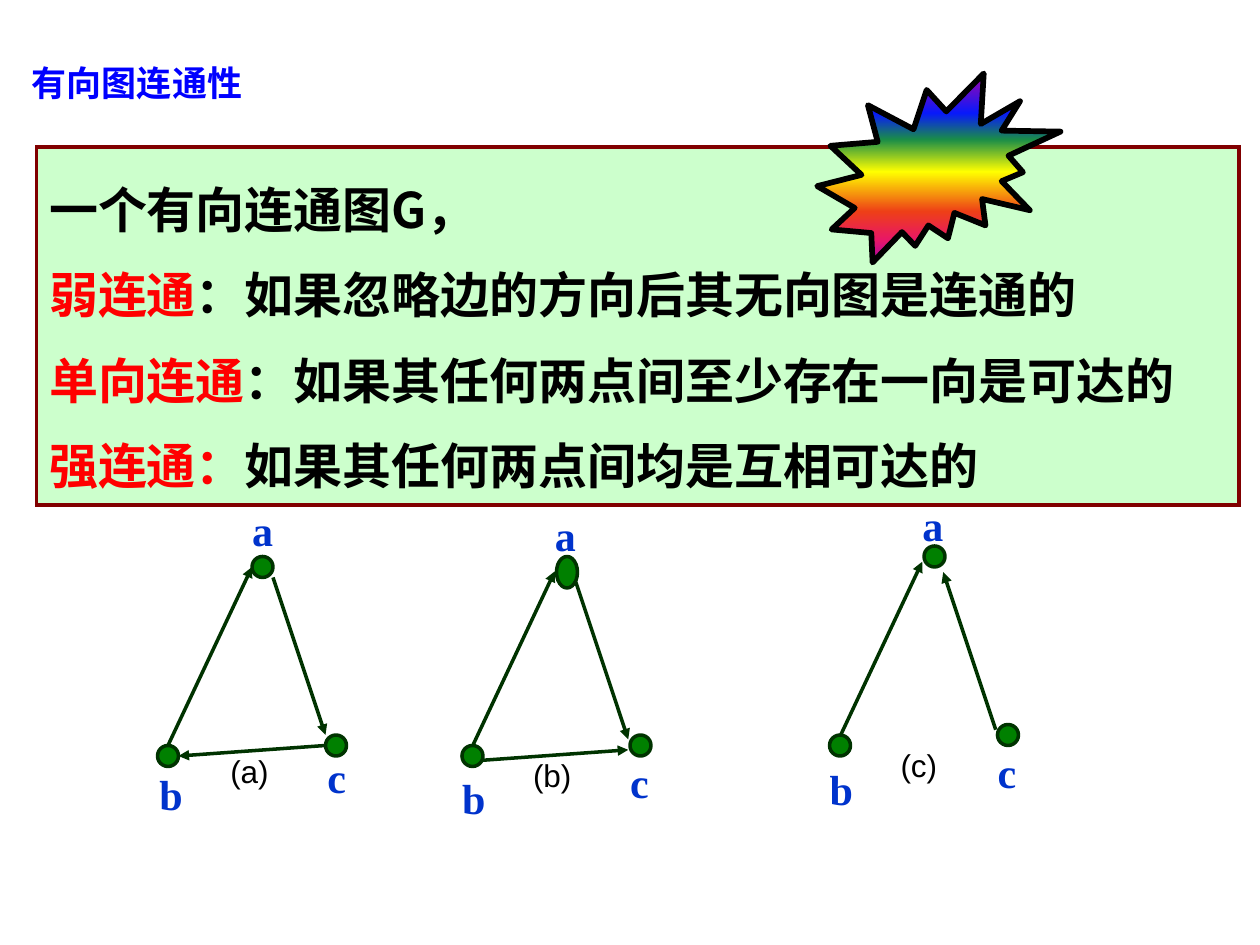
from lxml import etree
from pptx import Presentation
from pptx.dml.color import RGBColor
from pptx.enum import shapes, text
from pptx.oxml.ns import qn
from pptx.util import Pt

COLORS = {
    "title": "0000FF", "ink": "000000", "term": "FF0000",
    "panel": "CCFFCC", "panel_line": "800000",
    "node": "008000", "edge": "003300", "label": "0033CC",
}
RAINBOW = [(0, "A603AB"), (21, "0819FB"), (35, "1A8D48"), (52, "FFFF00"),
           (73, "EE3F17"), (88, "E81766"), (100, "A603AB")]
CJK = "Noto Sans CJK SC"
TITLE_FONT = {"name": CJK, "size": Pt(20), "bold": True}
BODY_FONT = {"name": CJK, "size": Pt(28), "bold": True}
LABEL_FONT = {"name": "Times New Roman", "size": Pt(24), "bold": True}
CAPTION_FONT = {"name": "Arial", "size": Pt(18), "bold": False}

DEFINITIONS = [
    [("一个有向连通图G，", "ink")],
    [("弱连通", "term"), ("：如果忽略边的方向后其无向图是连通的", "ink")],
    [("单向连通", "term"), ("：如果其任何两点间至少存在一向是可达的", "ink")],
    [("强连通：", "term"), ("如果其任何两点间均是互相可达的", "ink")],
]

# Every graph shares one layout, in points from its top left corner.
NODES = {"a": (60, 36), "b": (6, 144), "c": (102, 138)}
LABELS = {"a": (53, 3, 26), "b": (0, 153.5, 27.5), "c": (96, 144, 25.5)}
CAPTION_BOX = (40.5, 144, 38, 29)
EDGES = {"ab": ((60, 42), (12, 144)), "bc": ((18, 150), (102, 144)),
         "ac": ((72, 48), (102, 138))}
NODE_SIZE = 12
GRAPHS = [
    {"box": (84, 282), "caption": "(a)", "arrows": ["ba", "cb", "ac"]},
    {"box": (257, 284.5), "caption": "(b)", "arrows": ["ba", "bc", "ac"],
     "node_shift": (1, -2.5), "tall": "a"},
    {"box": (467, 279), "caption": "(c)", "arrows": ["ba", "ca"],
     "node_shift": (1, -3)},
]


def rgb(name):
    return RGBColor.from_string(COLORS[name])


def add_run(p, words, font, color):
    r = p.add_run()
    r.text = words
    for key, value in font.items():
        setattr(r.font, key, value)
    r.font.color.rgb = rgb(color)
    # Chinese characters take the East Asian typeface.
    r.font._element.find(qn("a:latin")).addnext(
        r.font._element.makeelement(qn("a:ea"), {"typeface": font["name"]}))


def add_outlined(s, kind, box, fill, line, width):
    sp = s.shapes.add_shape(kind, *map(Pt, box))
    sp.shadow.inherit = False
    if fill:
        sp.fill.solid()
        sp.fill.fore_color.rgb = rgb(fill)
    sp.line.color.rgb = rgb(line)
    sp.line.width = Pt(width)
    return sp


def add_text(s, box, words, font, color):
    tf = s.shapes.add_textbox(*map(Pt, box)).text_frame
    tf.word_wrap = False
    tf.auto_size = text.MSO_AUTO_SIZE.SHAPE_TO_FIT_TEXT
    add_run(tf.paragraphs[0], words, font, color)


def add_arrow(s, start, end):
    line = s.shapes.add_connector(shapes.MSO_CONNECTOR.STRAIGHT,
                                  *map(Pt, (*start, *end)))
    line.line.color.rgb = rgb("edge")
    line.line.width = Pt(2)
    etree.SubElement(line.line._get_or_add_ln(), qn("a:tailEnd"), type="triangle")
    etree.SubElement(line._element.spPr, qn("a:effectLst"))


def place_title(s, box):
    sp = s.shapes.title
    sp.left, sp.top, sp.width, sp.height = map(Pt, box)
    tf = sp.text_frame
    tf.word_wrap = True
    tf.auto_size = text.MSO_AUTO_SIZE.SHAPE_TO_FIT_TEXT
    tf.vertical_anchor = text.MSO_ANCHOR.TOP
    p = tf.paragraphs[0]
    p.alignment = text.PP_ALIGN.LEFT
    add_run(p, "有向图连通性", TITLE_FONT, "title")


def add_definitions(s, box):
    sp = add_outlined(s, shapes.MSO_SHAPE.RECTANGLE, box, "panel", "panel_line", 2)
    etree.SubElement(sp.line._get_or_add_ln(), qn("a:miter"), lim="800000")
    tf = sp.text_frame
    tf.word_wrap = True
    tf.auto_size = text.MSO_AUTO_SIZE.SHAPE_TO_FIT_TEXT
    tf.vertical_anchor = text.MSO_ANCHOR.TOP
    for i, parts in enumerate(DEFINITIONS):
        p = tf.add_paragraph() if i else tf.paragraphs[0]
        p.alignment = text.PP_ALIGN.LEFT
        p.line_spacing = 1.45
        for words, color in parts:
            add_run(p, words, BODY_FONT, color)


def add_graph(s, box, caption, arrows, node_shift=(0, 0), tall=""):
    """Draw a three-node digraph; an arrow "ba" runs from b to a."""
    left, top = box
    for arrow in arrows:
        ends = [(left + x, top + y) for x, y in EDGES["".join(sorted(arrow))]]
        add_arrow(s, *(ends if arrow in EDGES else ends[::-1]))
    for name, (x, y) in NODES.items():
        height = NODE_SIZE * (1.5 if name == tall else 1)
        add_outlined(s, shapes.MSO_SHAPE.OVAL,
                     (left + x + node_shift[0], top + y + node_shift[1],
                      NODE_SIZE, height), "node", "edge", 2)
    for name, (x, y, width) in LABELS.items():
        add_text(s, (left + x, top + y, width, 36), name, LABEL_FONT, "label")
    x, y, width, height = CAPTION_BOX
    add_text(s, (left + x, top + y, width, height), caption, CAPTION_FONT, "ink")


def add_burst(s, box):
    sp = add_outlined(s, shapes.MSO_SHAPE.EXPLOSION2, box, None, "ink", 3.25)
    sp.fill.gradient()
    sp.fill.gradient_angle = 270
    stops = sp._element.spPr.find(qn("a:gradFill")).find(qn("a:gsLst"))
    for stop in list(stops):
        stops.remove(stop)
    for percent, color in RAINBOW:
        stop = etree.SubElement(stops, qn("a:gs"), pos=str(percent * 1000))
        etree.SubElement(stop, qn("a:srgbClr"), val=color)


def main():
    prs = Presentation()
    prs.slide_width, prs.slide_height = Pt(720), Pt(540)
    s = prs.slides.add_slide(prs.slide_layouts[5])
    place_title(s, (11, 31.5, 253.5, 31))
    add_definitions(s, (21, 84, 687, 204.5))
    for graph in GRAPHS:
        add_graph(s, **graph)
    add_burst(s, (467, 42, 139, 108))
    prs.save("out.pptx")


if __name__ == "__main__":
    main()
